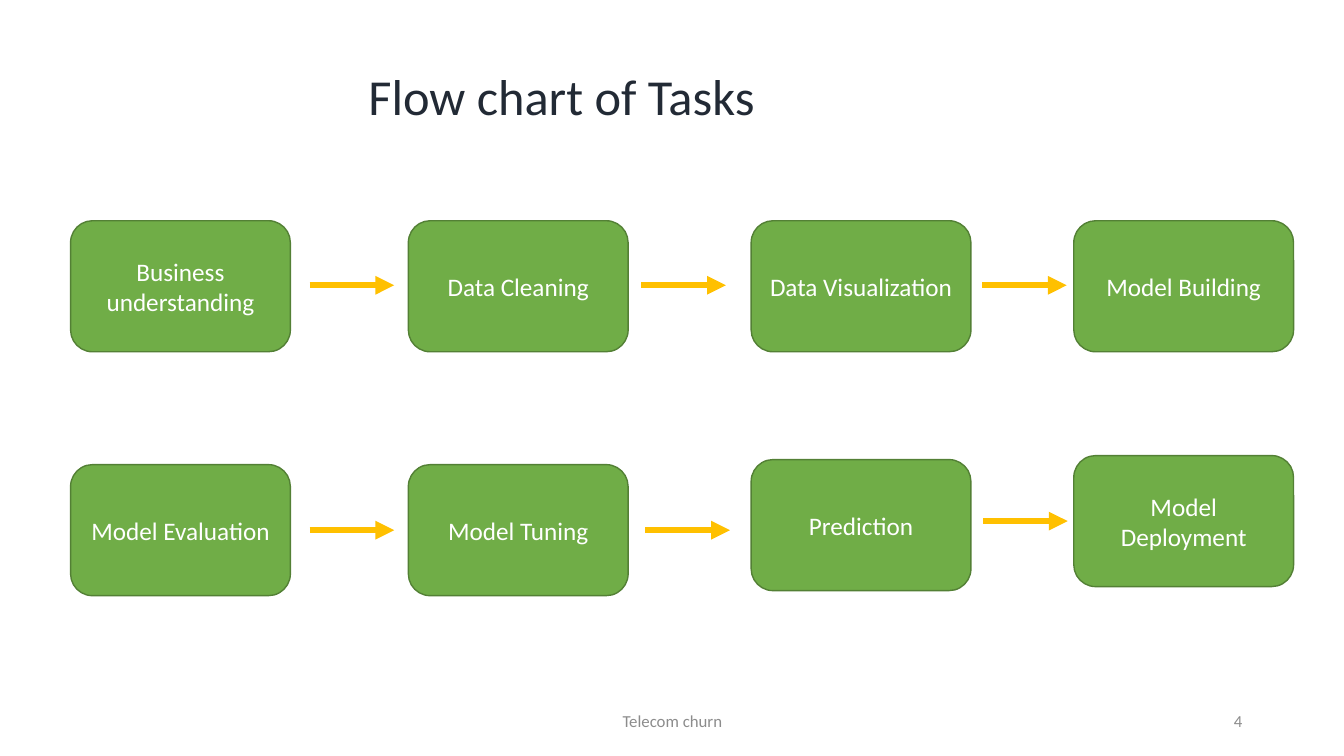
from lxml.etree import SubElement
from pptx import Presentation
from pptx.dml.color import RGBColor
from pptx.enum.shapes import MSO_CONNECTOR as Connector, MSO_SHAPE as Shape
from pptx.enum.text import MSO_ANCHOR as Anchor, MSO_AUTO_SIZE as AutoSize, PP_ALIGN as Align
from pptx.oxml.ns import qn
from pptx.util import Inches, Pt

COLORS = {
    "title": "222A35",
    "task": "70AD47",
    "task_line": "538035",
    "task_text": "FFFFFF",
    "arrow": "FFC000",
    "footer": "8C8C8C",
}
TASK_WIDTH, TASK_HEIGHT = 2.18, 1.3
ARROW_LENGTH = 0.84
COLUMN_OFFSETS = [0, 3.35, 6.75, 9.95]
TASK_ROWS = [
    {
        "top": 2.19,
        "tasks": ["Business understanding", "Data Cleaning", "Data Visualization", "Model Building"],
        "rises": [0, 0, 0, 0],
        "arrows": [(2.37, 0.64), (5.66, 0.64), (9.04, 0.64)],
    },
    {
        "top": 4.61,
        "tasks": ["Model Evaluation", "Model Tuning", "Prediction", "Model\nDeployment"],
        "rises": [0, 0, 0.05, 0.09],
        "arrows": [(2.37, 0.65), (5.7, 0.65), (9.05, 0.56)],
    },
]


def color(name):
    return RGBColor.from_string(COLORS[name])


def write_text(shape, text, size, fill, align=Align.CENTER, anchor=Anchor.MIDDLE):
    frame = shape.text_frame
    frame.word_wrap = True
    frame.auto_size = AutoSize.NONE
    frame.vertical_anchor = anchor
    frame.text = text
    for paragraph in frame.paragraphs:
        paragraph.alignment = align
        font = paragraph.runs[0].font
        font.name = "Calibri"
        font.size = Pt(size)
        font.color.rgb = color(fill)


def add_title(slide, left, top, width, height):
    title = slide.shapes.title
    title.left, title.top = Inches(left), Inches(top)
    title.width, title.height = Inches(width), Inches(height)
    write_text(title, "Flow chart of Tasks", size=36, fill="title", anchor=Anchor.TOP)


def add_task(slide, text, left, top):
    task = slide.shapes.add_shape(
        Shape.ROUNDED_RECTANGLE, Inches(left), Inches(top), Inches(TASK_WIDTH), Inches(TASK_HEIGHT)
    )
    task.shadow.inherit = False
    task.fill.solid()
    task.fill.fore_color.rgb = color("task")
    task.line.color.rgb = color("task_line")
    task.line.width = Pt(1)
    write_text(task, text, size=18, fill="task_text")


def add_arrow(slide, left, top):
    arrow = slide.shapes.add_connector(
        Connector.STRAIGHT, Inches(left), Inches(top), Inches(left + ARROW_LENGTH), Inches(top)
    )
    arrow.line.color.rgb = color("arrow")
    arrow.line.width = Pt(4.5)
    SubElement(arrow.line._get_or_add_ln(), qn("a:tailEnd"), type="triangle")
    SubElement(arrow._element.spPr, qn("a:effectLst"))


def add_task_row(slide, left, top, tasks, rises, arrows):
    for text, offset, rise in zip(tasks, COLUMN_OFFSETS, rises):
        add_task(slide, text, left + offset, top - rise)
    for offset, drop in arrows:
        add_arrow(slide, left + offset, top + drop)


def add_footer(slide, left, top, width, height):
    footer_parts = [
        ("Telecom churn", 0, 4.5, Align.CENTER),
        ("4", width - 3, 3, Align.RIGHT),
    ]
    for text, offset, part_width, align in footer_parts:
        box = slide.shapes.add_textbox(
            Inches(left + offset), Inches(top), Inches(part_width), Inches(height)
        )
        write_text(box, text, size=12, fill="footer", align=align)


def main():
    presentation = Presentation()
    presentation.slide_width = Inches(13.33)
    presentation.slide_height = Inches(7.5)
    slide = presentation.slides.add_slide(presentation.slide_layouts.get_by_name("Title Only"))
    add_title(slide, 2.88, 0.6, 5.38, 0.71)
    for row in TASK_ROWS:
        add_task_row(slide, left=0.7, **row)
    add_footer(slide, 4.42, 6.95, 8, 0.4)
    presentation.save("out.pptx")


if __name__ == "__main__":
    main()
